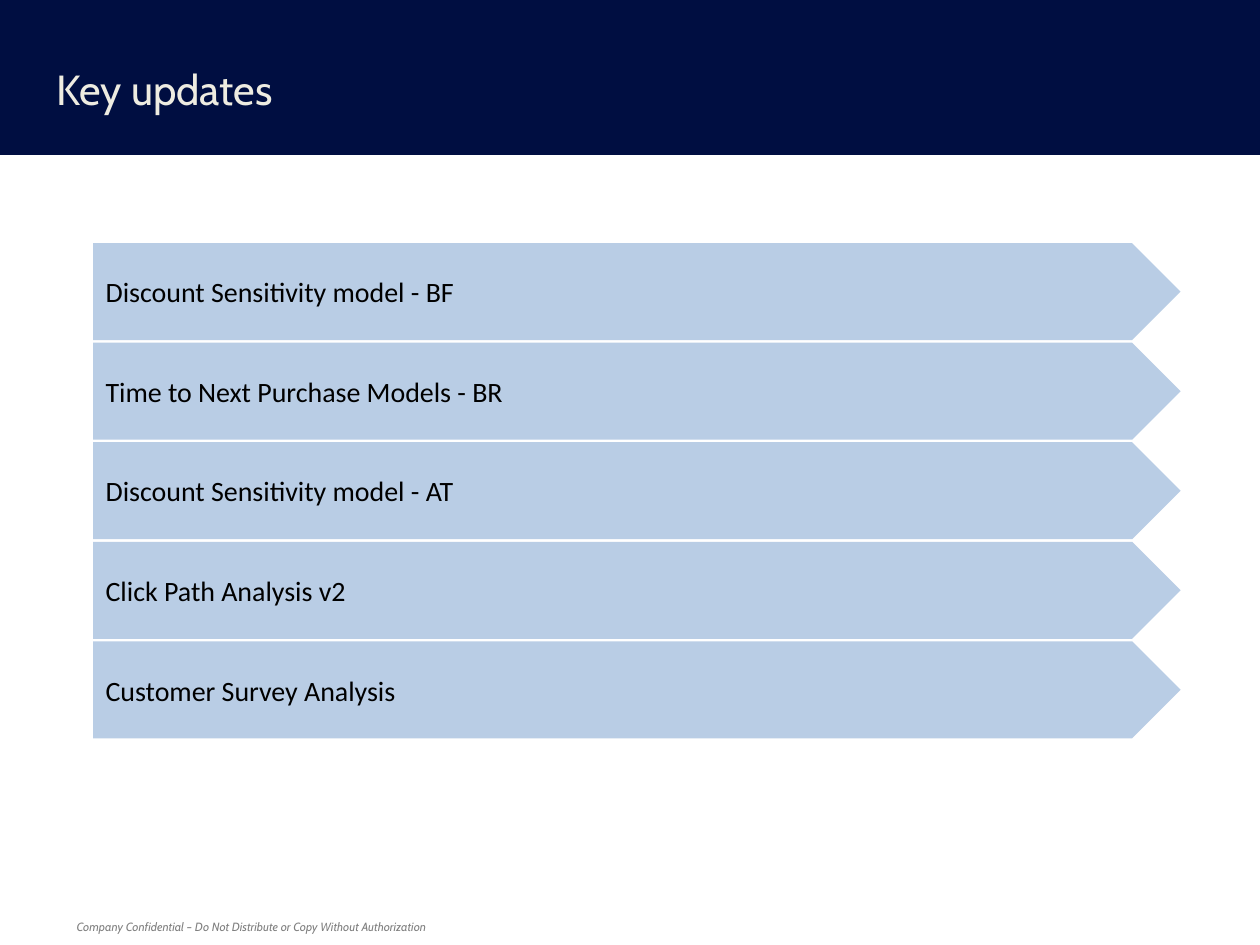
from pptx import Presentation
from pptx.dml.color import RGBColor
from pptx.enum.shapes import MSO_SHAPE as Preset
from pptx.enum.text import MSO_ANCHOR as Anchor, PP_ALIGN as Align
from pptx.util import Inches, Pt

deck = Presentation()
deck.slide_width, deck.slide_height = Inches(10), Inches(7.5)
slide = deck.slides.add_slide(deck.slide_layouts[6])


def color(hex_code):
    return RGBColor.from_string(hex_code)


def write(shape, words, anchor, ink, **font_format):
    frame = shape.text_frame
    frame.word_wrap = True
    frame.vertical_anchor = anchor
    line = frame.paragraphs[0]
    line.alignment = Align.LEFT
    run = line.add_run()
    run.text = words
    run.font.color.rgb = color(ink)
    for key, value in font_format.items():
        setattr(run.font, key, value)


# Header band and title
header = slide.shapes.add_shape(
    Preset.RECTANGLE, 0, Inches(-0.01), deck.slide_width, Inches(1.24))
header.shadow.inherit = False
header.fill.solid()
header.fill.fore_color.rgb = color("000E41")
header.line.fill.background()

title = slide.shapes.add_textbox(
    Inches(0.35), Inches(0.39), Inches(8.01), Inches(0.62))
write(title, "Key updates", Anchor.MIDDLE, "EEECE1", name="Cabin", size=Pt(24))

# Update arrows, one per row
updates = [
    "Discount Sensitivity model - BF",
    "Time to Next Purchase Models - BR",
    "Discount Sensitivity model - AT",
    "Click Path Analysis v2",
    "Customer Survey Analysis",
]
first_row, row_pitch = 1.93, 0.79
for row, update in enumerate(updates):
    arrow = slide.shapes.add_shape(
        Preset.PENTAGON, Inches(0.74), Inches(first_row + row * row_pitch),
        Inches(8.63), Inches(0.77))
    arrow.shadow.inherit = False
    arrow.fill.solid()
    arrow.fill.fore_color.rgb = color("B9CDE5")
    arrow.line.fill.background()
    write(arrow, update, Anchor.MIDDLE, "000000", name="Calibri", size=Pt(16))

# Confidentiality footer
footer = slide.shapes.add_textbox(
    Inches(0.51), Inches(7.25), Inches(9.18), Inches(0.21))
write(footer, "Company Confidential – Do Not Distribute or Copy Without Authorization",
      Anchor.TOP, "808080", name="Cabin", size=Pt(6.8), italic=True)

deck.save("out.pptx")
